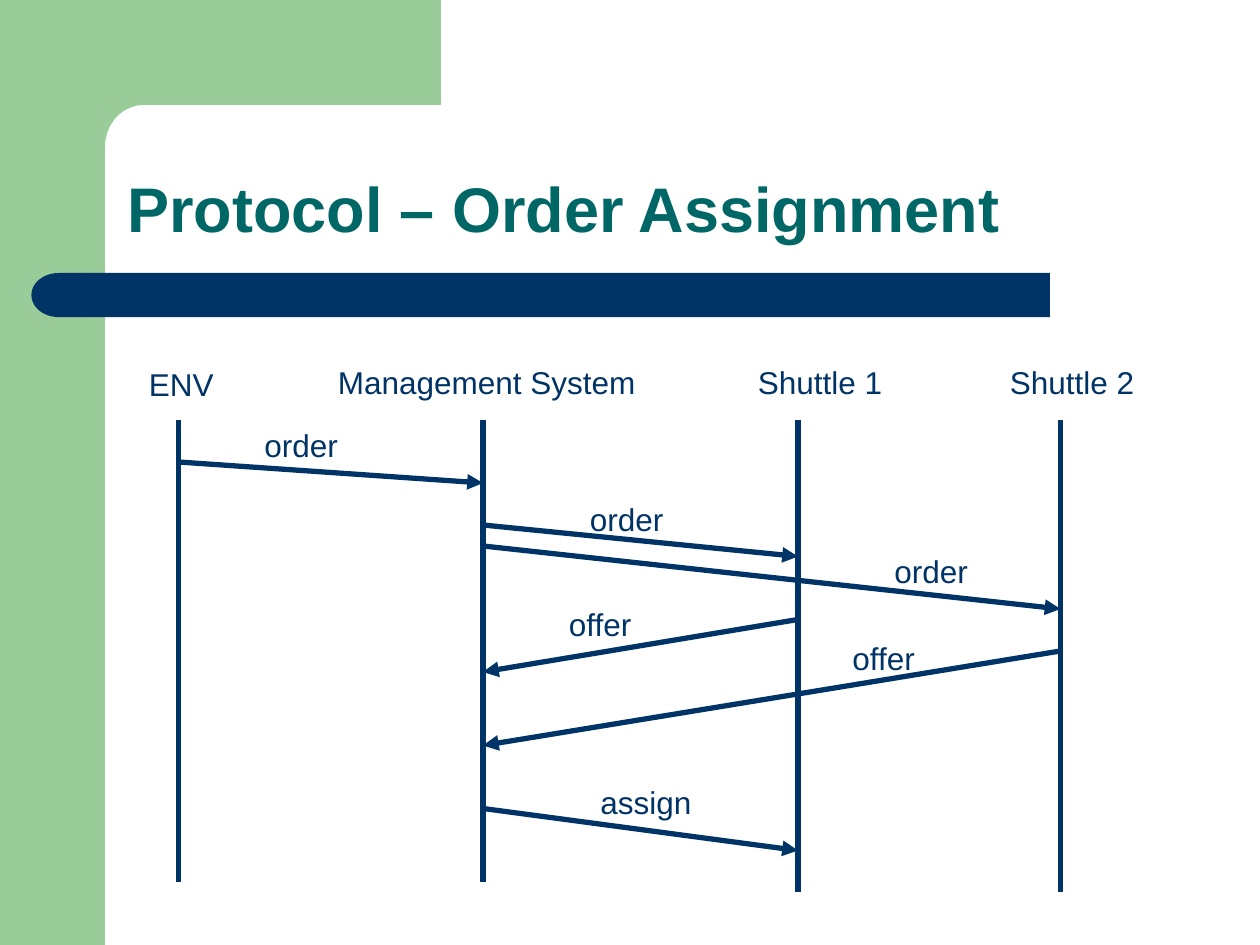
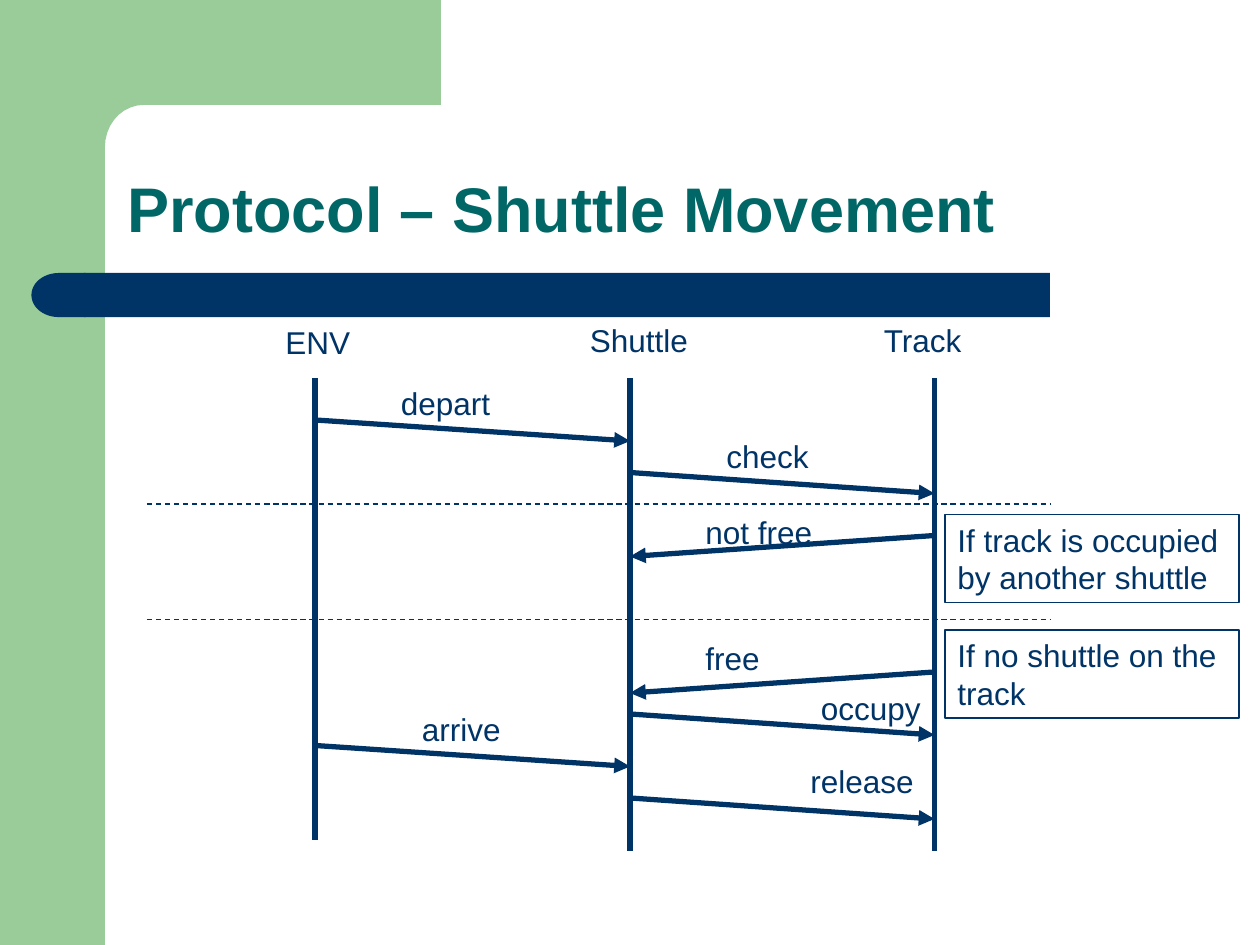
import math
from pptx import Presentation
from pptx.dml.color import RGBColor
from pptx.enum import dml, shapes, text
from pptx.oxml import parse_xml
from pptx.oxml.ns import nsdecls
from pptx.util import Pt

GREEN, NAVY, TEAL = "99CC99", "003366", "006666"
SHAPE = shapes.MSO_SHAPE
TITLE_FONT = {"name": "Arial", "size": Pt(36), "bold": True}
LABEL_FONT = {"name": "Arial", "size": Pt(18), "bold": False}
LABEL_H = 29


def rgb(hex_string):
    return RGBColor.from_string(hex_string)


def set_font(font, values, color):
    for name, value in values.items():
        setattr(font, name, value)
    font.color.rgb = rgb(color)


def fill_plain(sp, color):
    sp.shadow.inherit = False
    sp.fill.solid()
    sp.fill.fore_color.rgb = rgb(color)
    sp.line.fill.background()


def add_block(s, kind, x, y, w, h, color):
    sp = s.shapes.add_shape(kind, Pt(x), Pt(y), Pt(w), Pt(h))
    fill_plain(sp, color)
    return sp


def add_line(s, x1, y1, x2, y2, width=3, arrow=False, dash=None):
    c = s.shapes.add_connector(shapes.MSO_CONNECTOR.STRAIGHT,
                               Pt(x1), Pt(y1), Pt(x2), Pt(y2))
    c.line.color.rgb = rgb(NAVY)
    c.line.width = Pt(width)
    if dash:
        c.line.dash_style = dash
    sp_pr = c.element.spPr
    if arrow:
        sp_pr.get_or_add_ln().append(
            parse_xml(f'<a:tailEnd {nsdecls("a")} type="triangle"/>'))
    sp_pr.append(parse_xml(f'<a:effectLst {nsdecls("a")}/>'))


def write(sp, words):
    tf = sp.text_frame
    tf.word_wrap = True
    tf.vertical_anchor = text.MSO_ANCHOR.TOP
    p = tf.paragraphs[0]
    p.alignment = text.PP_ALIGN.LEFT
    r = p.add_run()
    r.text = words
    set_font(r.font, LABEL_FONT, NAVY)


def add_label(s, words, x, y, w):
    write(s.shapes.add_textbox(Pt(x), Pt(y), Pt(w), Pt(LABEL_H)), words)


def add_note(s, words, x, y, w=168, h=50.4):
    sp = s.shapes.add_shape(SHAPE.RECTANGLE, Pt(x), Pt(y), Pt(w), Pt(h))
    sp.shadow.inherit = False
    sp.fill.background()
    sp.line.color.rgb = rgb(NAVY)
    sp.line.width = Pt(0.75)
    write(sp, words)


def add_corner(s, x, y, w, h, band=60, rx=22, ry=24):
    """Top band whose inner corner is rounded towards the side band."""
    inner = x + 24
    arc = [(inner + rx * (1 - math.sin(math.radians(a))),
            y + band + ry * (1 - math.cos(math.radians(a))))
           for a in range(0, 91, 10)]
    outline = [(x + w, y), (x + w, y + band), *arc,
               (inner, y + h), (x, y + h), (x, y)]
    points = [(Pt(px), Pt(py)) for px, py in outline]
    builder = s.shapes.build_freeform(*points[0])
    builder.add_line_segments(points[1:], close=True)
    fill_plain(builder.convert_to_shape(), GREEN)


def style_layout(layout, s):
    """Draw the bands on s, move them behind the layout, place its title."""
    add_block(s, SHAPE.RECTANGLE, 0, 0, 60, 540, GREEN)
    add_corner(s, 36, 0, 216, 92)
    add_block(s, SHAPE.RECTANGLE, 48, 156, 552, 25.2, NAVY)
    cap = add_block(s, SHAPE.FLOWCHART_DELAY, 18, 156, 31, 25.2, NAVY)
    cap.element.spPr.xfrm.set("flipH", "1")
    bands = [sp for sp in s.shapes if not sp.is_placeholder]
    for i, sp in enumerate(bands):
        sp.element.nvSpPr.cNvPr.set("id", str(20 + i))
        layout.shapes.element.insert(2 + i, sp.element)

    title = layout.placeholders[0]
    title.left, title.top, title.width, title.height = map(Pt, (65.5, 65.5, 612.7, 78.5))
    title.text_frame.vertical_anchor = text.MSO_ANCHOR.BOTTOM
    title.text_frame.auto_size = text.MSO_AUTO_SIZE.NONE


def add_title(s, words):
    p = s.shapes.title.text_frame.paragraphs[0]
    p.alignment = text.PP_ALIGN.LEFT
    p.line_spacing = 0.9
    r = p.add_run()
    r.text = words
    set_font(r.font, TITLE_FONT, TEAL)


def add_sequence(s, left, top, lanes, messages):
    """Lanes: name, x, length, label x, y, w.
    Messages: from lane, to lane, start y, drop, words, label x, y, w."""
    for name, x, length, lx, ly, lw in lanes:
        add_line(s, left + x, top, left + x, top + length)
        add_label(s, name, left + lx, top + ly, lw)
    for a, b, y, drop, words, lx, ly, lw in messages:
        add_line(s, left + lanes[a][1], top + y,
                 left + lanes[b][1], top + y + drop, arrow=True)
        add_label(s, words, left + lx, top + ly, lw)


def order_slide(s):
    add_title(s, "Protocol – Order Assignment")
    lanes = [("ENV", 0, 264, -24, -35, 54),
             ("Management System", 174, 264, 84, -36, 186),
             ("Shuttle 1", 354, 270, 324, -36, 90),
             ("Shuttle 2", 504, 270, 468, -36, 96)]
    messages = [(0, 1, 24, 12, "order", 42, 0, 72),
                (1, 2, 60, 18, "order", 228, 42, 78),
                (1, 3, 72, 36, "order", 402, 72, 78),
                (2, 1, 114, 30, "offer", 216, 102, 66),
                (3, 1, 132, 54, "offer", 378, 121.5, 66),
                (1, 2, 222, 24, "assign", 234, 204, 78)]
    add_sequence(s, 102, 240, lanes, messages)


def movement_slide(s):
    add_title(s, "Protocol – Shuttle Movement")
    left, top, drop = 180, 216, 12
    lanes = [("ENV", 0, 264, -24, -35, 54),
             ("Shuttle", 180, 270, 150, -36, 90),
             ("Track", 354, 270, 318, -36, 66)]
    messages = [(0, 1, 24, drop, "depart", 42, 0, 72),
                (1, 2, 54, drop, "check", 228, 30, 66),
                (2, 1, 90, drop, "not free", 216, 73.5, 78),
                (2, 1, 168, drop, "free", 216, 145.5, 66),
                (1, 2, 192, drop, "occupy", 282, 174, 78),
                (0, 1, 210, drop, "arrive", 54, 186, 78),
                (1, 2, 240, drop, "release", 276, 216, 78)]
    add_sequence(s, left, top, lanes, messages)

    # Alternatives: a dashed divider with its condition below
    for y, condition in ((72, "If track is occupied by another shuttle"),
                         (138, "If no shuttle on the track")):
        add_line(s, left - 96, top + y, left + 420, top + y,
                 width=0.75, dash=dml.MSO_LINE.DASH)
        add_note(s, condition, left + 360, top + y + 6)


def main():
    prs = Presentation()
    prs.slide_width, prs.slide_height = Pt(720), Pt(540)
    layout = prs.slide_layouts[5]
    for i, build in enumerate((order_slide, movement_slide)):
        s = prs.slides.add_slide(layout)
        if i == 0:
            style_layout(layout, s)
        build(s)
    prs.save("out.pptx")


if __name__ == "__main__":
    main()
